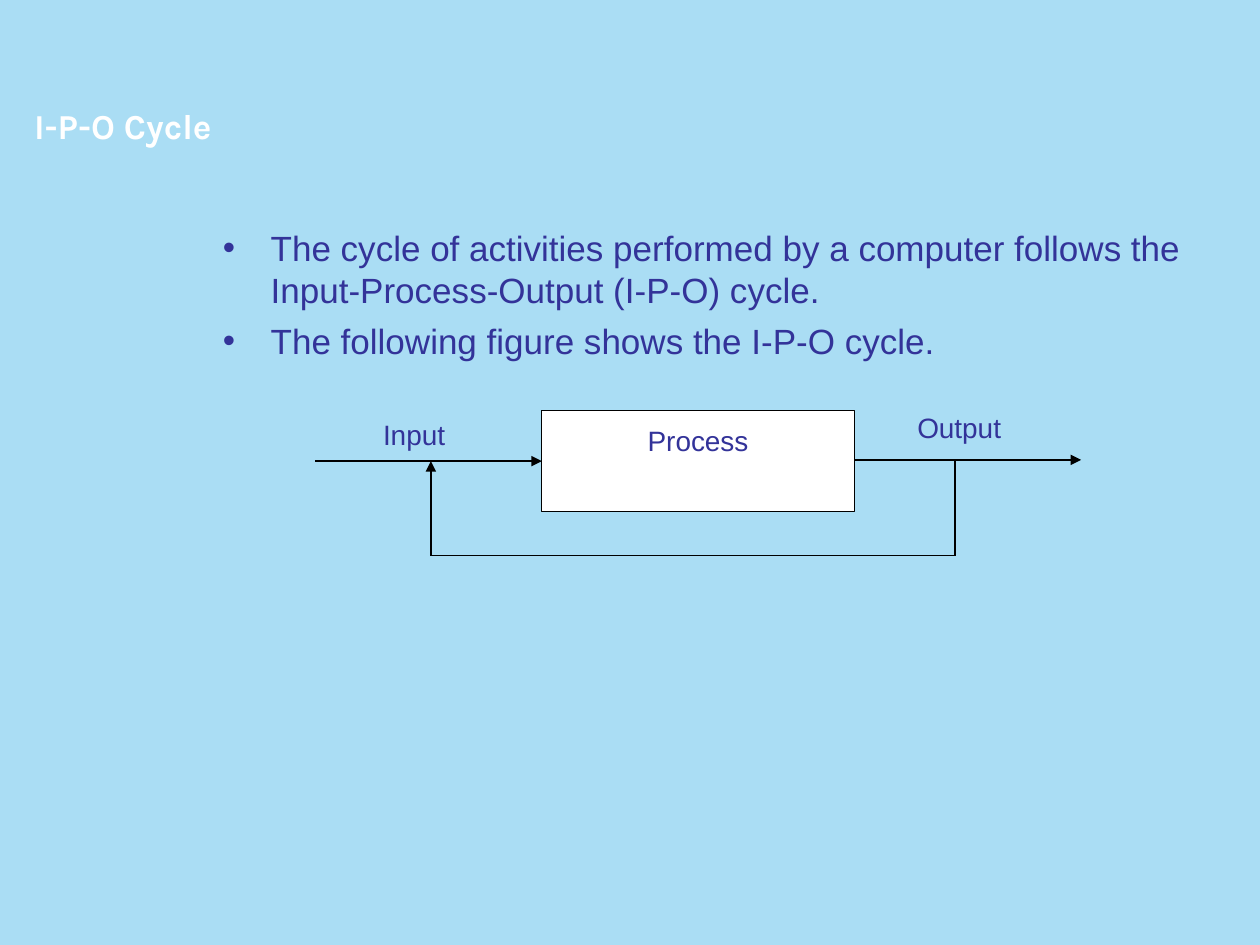
from pptx import Presentation
from pptx.dml.color import RGBColor
from pptx.enum.shapes import MSO_CONNECTOR as Connector, MSO_SHAPE as Shape
from pptx.enum.text import MSO_ANCHOR as Anchor, MSO_AUTO_SIZE as AutoSize, PP_ALIGN as Align
from pptx.oxml.ns import qn
from pptx.util import Inches, Pt
from lxml.etree import SubElement

COLORS = {"sky": "AADDF4", "indigo": "333399", "white": "FFFFFF", "black": "000000"}
TITLE = "I-P-O Cycle"
BULLETS = [
    "The cycle of activities performed by a computer follows the "
    "Input-Process-Output (I-P-O) cycle.",
    "The following figure shows the I-P-O cycle.",
]
PROCESS = (4.3, 3.26, 2.48, 0.8)
LABELS = [("Input", (3.04, 3.31, 0.9, 0.52)), ("Output", (7.28, 3.26, 1.22, 0.44))]
ARROW_LENGTH = 1.8
FLOW_Y = 3.66
FEEDBACK_LEFT, FEEDBACK_RIGHT, FEEDBACK_Y = 3.42, 7.58, 4.41


def color(name):
    return RGBColor.from_string(COLORS[name])


def place(shape, area):
    shape.left, shape.top, shape.width, shape.height = map(Inches, area)


def add_bullet(para):
    props = para._p.get_or_add_pPr()
    props.set("marL", str(Inches(0.38)))
    props.set("indent", str(-Inches(0.38)))
    tint = SubElement(props, qn("a:buClr"))
    SubElement(tint, qn("a:srgbClr"), val=COLORS["indigo"])
    SubElement(props, qn("a:buFont"), typeface="Arial")
    SubElement(props, qn("a:buChar"), char="•")


def write(shape, lines, size=16, font="Arial", ink="indigo", bold=False, align=Align.LEFT,
          before=0, bullet=False, margins=(0.1, 0.05, 0.1, 0.05)):
    frame = shape.text_frame
    frame.word_wrap = True
    frame.auto_size = AutoSize.NONE
    frame.vertical_anchor = Anchor.TOP
    (frame.margin_left, frame.margin_top,
     frame.margin_right, frame.margin_bottom) = map(Inches, margins)
    for index, line in enumerate(lines):
        para = frame.add_paragraph() if index else frame.paragraphs[0]
        para.alignment = align
        para.line_spacing = 1.0
        para.space_before = Pt(before)
        if bullet:
            add_bullet(para)
        span = para.add_run()
        span.text = line
        span.font.size, span.font.name, span.font.bold = Pt(size), font, bold
        span.font.color.rgb = color(ink)


def add_line(page, start, end, arrow=False):
    line = page.shapes.add_connector(Connector.STRAIGHT, *map(Inches, start + end))
    line.line.color.rgb = color("black")
    line.line.width = Pt(0.75)
    if arrow:
        SubElement(line.line._get_or_add_ln(), qn("a:tailEnd"), type="triangle")
    SubElement(line._element.spPr, qn("a:effectLst"))


def add_text(page, area, lines, **style):
    box = page.shapes.add_textbox(*map(Inches, area))
    write(box, lines, **style)


def main():
    deck = Presentation()
    deck.slide_width, deck.slide_height = Inches(10), Inches(7.5)
    page = deck.slides.add_slide(deck.slide_layouts[5])
    page.background.fill.solid()
    page.background.fill.fore_color.rgb = color("sky")

    place(page.shapes.title, (0.17, 0.78, 7.5, 0.44))
    write(page.shapes.title, [TITLE], size=20, font="Karla", ink="white", bold=True, before=12.5)
    add_text(page, (1.67, 1.75, 8, 5), BULLETS, size=20, before=5, bullet=True)

    process = page.shapes.add_shape(Shape.RECTANGLE, *map(Inches, PROCESS))
    process.shadow.inherit = False
    process.fill.solid()
    process.fill.fore_color.rgb = color("white")
    process.line.color.rgb = color("black")
    process.line.width = Pt(0.75)
    write(process, ["Process"], align=Align.CENTER, margins=(0.1, 0.1, 0.1, 0.05))

    for label, area in LABELS:
        add_text(page, area, [label], margins=(0, 0, 0, 0))

    left, right = PROCESS[0], PROCESS[0] + PROCESS[2]
    output_y = FLOW_Y - 0.01
    add_line(page, (left - ARROW_LENGTH, FLOW_Y), (left, FLOW_Y), arrow=True)
    add_line(page, (right, output_y), (right + ARROW_LENGTH, output_y), arrow=True)
    add_line(page, (FEEDBACK_RIGHT, output_y), (FEEDBACK_RIGHT, FEEDBACK_Y))
    add_line(page, (FEEDBACK_RIGHT, FEEDBACK_Y), (FEEDBACK_LEFT, FEEDBACK_Y))
    add_line(page, (FEEDBACK_LEFT, FEEDBACK_Y), (FEEDBACK_LEFT, FLOW_Y), arrow=True)

    deck.save("out.pptx")


if __name__ == "__main__":
    main()
